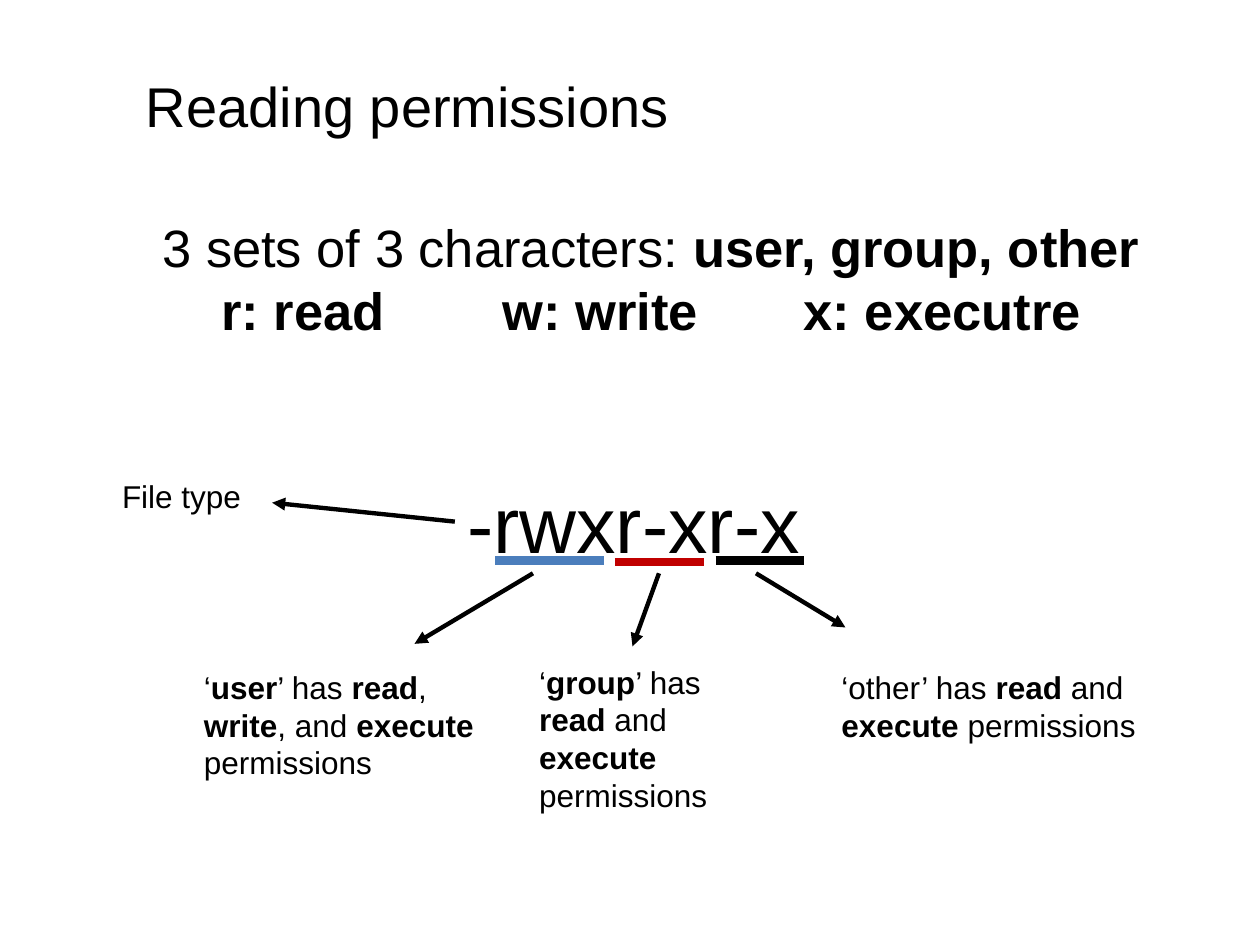
from lxml import etree
from pptx import Presentation
from pptx import util as u
from pptx.dml.color import RGBColor
from pptx.enum import shapes, text
from pptx.oxml import ns

BLACK = RGBColor(0x00, 0x00, 0x00)
BLUE = RGBColor(0x4B, 0x7E, 0xBC)
RED = RGBColor(0xC0, 0x00, 0x00)


class Deck:
    font = "Arial"
    cols, rows = 100, 75

    def __init__(self):
        self.show = Presentation()
        self.show.slide_width, self.show.slide_height = u.Inches(10), u.Inches(7.5)
        self.slide = self.show.slides.add_slide(self.show.slide_layouts[6])

    def x(self, col):
        return round(self.show.slide_width * col / self.cols)

    def y(self, row):
        return round(self.show.slide_height * row / self.rows)

    def words(self, lines, left, top, width, height, size=18, wrap=True):
        box = self.slide.shapes.add_textbox(
            self.x(left), self.y(top), self.x(width), self.y(height))
        frame = box.text_frame
        frame.word_wrap = wrap
        frame.auto_size = text.MSO_AUTO_SIZE.SHAPE_TO_FIT_TEXT
        for count, line in enumerate(lines):
            para = frame.add_paragraph() if count else frame.paragraphs[0]
            for part, piece in enumerate(line.split("*")):
                if not piece:
                    continue
                run = para.add_run()
                run.text = piece
                run.font.name = self.font
                run.font.size = u.Pt(size)
                run.font.bold = part % 2 == 1
                run.font.color.rgb = BLACK
        return frame

    def tabs(self, para, stops):
        props = para._p.get_or_add_pPr()
        group = etree.SubElement(props, ns.qn("a:tabLst"))
        for stop in stops:
            etree.SubElement(group, ns.qn("a:tab"), pos=str(self.x(stop)), algn="l")

    def line(self, start, end, color=BLACK, width=5):
        link = self.slide.shapes.add_connector(
            shapes.MSO_CONNECTOR.STRAIGHT,
            self.x(start[0]), self.y(start[1]), self.x(end[0]), self.y(end[1]))
        link.line.color.rgb = color
        link.line.width = u.Pt(width)
        etree.SubElement(link._element.spPr, ns.qn("a:effectLst"))
        return link

    def arrow(self, start, end):
        link = self.line(start, end, width=2.5)
        etree.SubElement(link.line._get_or_add_ln(), ns.qn("a:tailEnd"), type="triangle")


def main():
    deck = Deck()
    deck.words(["Reading permissions"], 10.6, 5.2, 44.4, 11.8, 32, False)
    intro = deck.words(
        ["3 sets of 3 characters: *user, group, other*",
         "*\tr: read\tw: write\tx: executre*"],
        11.9, 16.6, 80, 16.2, 30, False)
    deck.tabs(intro.paragraphs[1], (4.7, 27, 50.9))

    deck.words(["-rwxr-xr-x"], 36.1, 37.2, 28.7, 8.6, 45, False)
    deck.words(["File type"], 8.7, 37.4, 24.1, 4)
    deck.arrow((36.1, 41.4), (21.6, 39.9))

    sets = [
        (39.3, 47.9, 44.5, BLUE, (42.3, 32.9, 51.1), (15.2, 52.5, 24.1, 10.1),
         "‘*user*’ has *read*, *write*, and *execute* permissions"),
        (48.8, 55.9, 44.6, RED, (52.3, 50.2, 51.3), (41.8, 52.1, 20.1, 13.1),
         "‘*group*’ has *read* and *execute* permissions"),
        (56.8, 63.8, 44.5, BLACK, (60, 67.1, 49.8), (65.8, 52.5, 25.9, 7.1),
         "‘other’ has *read* and *execute* permissions"),
    ]
    for left, right, row, color, (tail, tip, base), area, note in sets:
        deck.line((left, row), (right, row), color)
        deck.arrow((tail, 45.5), (tip, base))
        deck.words([note], *area)
    deck.show.save("out.pptx")


if __name__ == "__main__":
    main()
